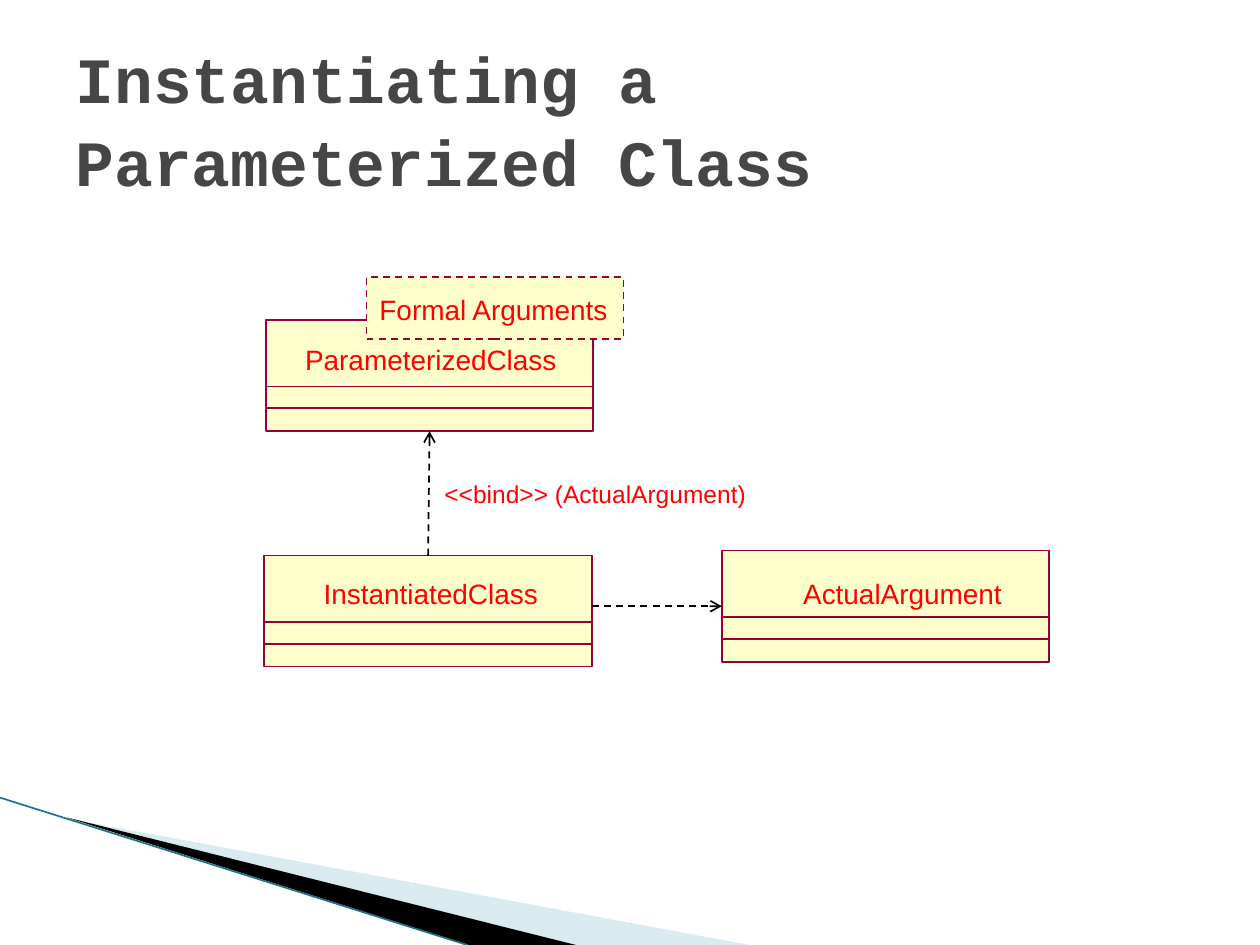
from lxml.etree import SubElement
from pptx import Presentation
from pptx.dml.color import RGBColor
from pptx.enum.dml import MSO_LINE
from pptx.enum.shapes import MSO_CONNECTOR, MSO_SHAPE
from pptx.enum.text import MSO_ANCHOR, PP_ALIGN
from pptx.oxml.ns import qn
from pptx.util import Cm, Pt

COLORS = {
    "title": "464646",
    "label": "FF0000",
    "box": "FFFFCC",
    "border": "990033",
    "arrow": "000000",
    "wedge_light": "D9EAF1",
    "wedge_dark": "000000",
    "edge": "1F7387",
}
C = {name: RGBColor.from_string(value) for name, value in COLORS.items()}

prs = Presentation()
prs.slide_width, prs.slide_height = Cm(25.4), Cm(19.05)
s = prs.slides.add_slide(prs.slide_layouts[5])


def add_line(x1, y1, x2, y2, color, width=1, arrow=False):
    """Add a straight line; an arrow is dashed with an open head at its end."""
    cx = s.shapes.add_connector(MSO_CONNECTOR.STRAIGHT, Cm(x1), Cm(y1), Cm(x2), Cm(y2))
    cx.line.color.rgb = C[color]
    cx.line.width = Pt(width)
    if arrow:
        cx.line.dash_style = MSO_LINE.DASH
        SubElement(cx.line._get_or_add_ln(), qn("a:tailEnd"), type="arrow")
    SubElement(cx._element.spPr, qn("a:effectLst"))
    return cx


def add_label(text, x, y, w, h=0.69, size=16, align=PP_ALIGN.CENTER, inset=(0, 0)):
    tf = s.shapes.add_textbox(Cm(x), Cm(y), Cm(w), Cm(h)).text_frame
    tf.word_wrap = align == PP_ALIGN.CENTER
    tf.margin_left = tf.margin_right = Cm(inset[0])
    tf.margin_top = tf.margin_bottom = Cm(inset[1])
    p = tf.paragraphs[0]
    p.alignment = align
    r = p.add_run()
    r.text = text
    r.font.name, r.font.size = "Arial", Pt(size)
    r.font.color.rgb = C["label"]


# Corner wedges
wedges = [
    ("wedge_light", [(1.4, 16.51), (15.11, 19.05), (11.58, 19.05)]),
    ("wedge_dark", [(1.35, 16.48), (11.61, 19.05), (9.45, 19.05)]),
]
for color, points in wedges:
    start, *rest = [(Cm(x), Cm(y)) for x, y in points]
    fb = s.shapes.build_freeform(*start)
    fb.add_line_segments(rest, close=True)
    sp = fb.convert_to_shape()
    sp.shadow.inherit = False
    sp.fill.solid()
    sp.fill.fore_color.rgb = C[color]
    sp.line.fill.background()
add_line(0, 16.08, 9.42, 19.05, "edge", 0.95)

# Title
title = s.shapes.title
title.left, title.top, title.width, title.height = Cm(1.27), Cm(0.76), Cm(22.86), Cm(3.18)
tf = title.text_frame
tf.word_wrap = True
tf.vertical_anchor = MSO_ANCHOR.MIDDLE
p = tf.paragraphs[0]
p.alignment = PP_ALIGN.LEFT
p.line_spacing = 1.07
r = p.add_run()
r.text = "Instantiating a Parameterized Class"
r.font.name, r.font.size, r.font.bold = "Courier New", Pt(36.9), True
r.font.color.rgb = C["title"]

# Classes: box left, top, width, height, then label left, top, width
CLASS_W, CLASS_H = 6.6, 2.24
COMPARTMENTS = (1.34, 1.78)
FORMAL = "Formal Arguments"
boxes = [
    ("ParameterizedClass", 5.36, 6.45, CLASS_W, CLASS_H, 5.66, 6.91, 6.05),
    (FORMAL, 7.39, 5.59, 5.18, 1.24, 7.65, 5.89, 4.85),
    ("InstantiatedClass", 5.33, 11.2, CLASS_W, CLASS_H, 6.12, 11.63, 5.13),
    ("ActualArgument", 14.55, 11.1, CLASS_W, CLASS_H, 15.72, 11.63, 4.95),
]
shapes = {}
for name, x, y, w, h, label_x, label_y, label_w in boxes:
    sp = s.shapes.add_shape(MSO_SHAPE.RECTANGLE, Cm(x), Cm(y), Cm(w), Cm(h))
    sp.shadow.inherit = False
    sp.fill.solid()
    sp.fill.fore_color.rgb = C["box"]
    sp.line.color.rgb = C["border"]
    sp.line.width = Pt(1)
    shapes[name] = sp
    if name == FORMAL:
        sp.line.dash_style = MSO_LINE.DASH
        add_label(name, label_x, label_y, label_w, align=PP_ALIGN.LEFT)
    else:
        for dy in COMPARTMENTS:
            add_line(x, y + dy, x + w, y + dy, "border")
        add_label(name, label_x, label_y, label_w)

# Dependencies
bind = add_line(8.64, 11.2, 8.64, 8.69, "arrow", arrow=True)
bind.begin_connect(shapes["InstantiatedClass"], 0)
bind.end_connect(shapes["ParameterizedClass"], 2)
use = add_line(11.93, 12.22, 14.55, 12.22, "arrow", arrow=True)
use.end_connect(shapes["ActualArgument"], 1)
add_label("<<bind>> (ActualArgument)", 8.71, 9.53, 6.65, 0.84, 14, PP_ALIGN.LEFT, (0.25, 0.13))

prs.save("out.pptx")
